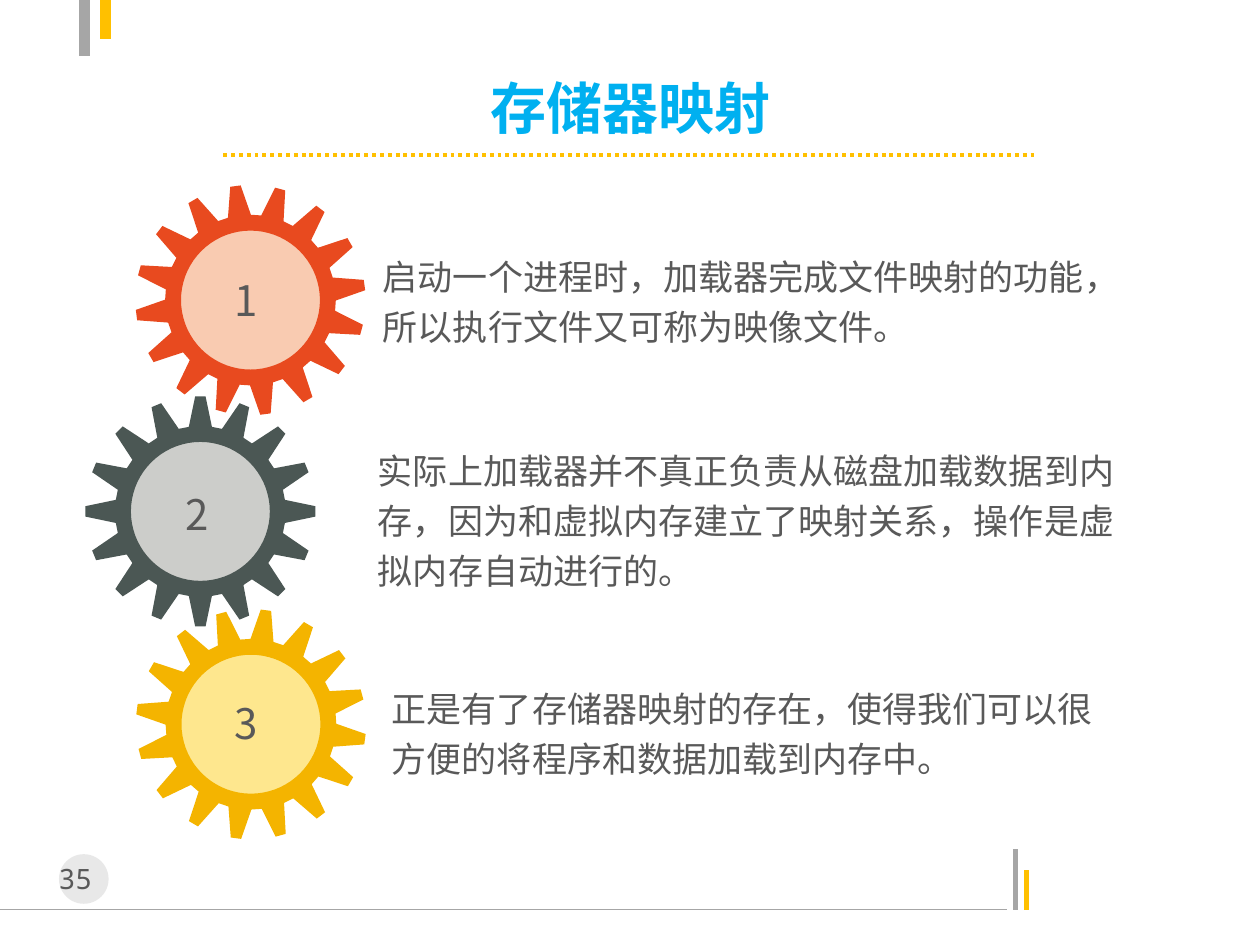
import math
from lxml import etree
from pptx import Presentation
from pptx import util as u
from pptx.dml.color import RGBColor
from pptx.enum import dml, shapes, text
from pptx.oxml.ns import qn

Cm = u.Cm
GRAY = RGBColor(0xA6, 0xA6, 0xA6)
YELLOW = RGBColor(0xFF, 0xC0, 0x00)
BLUE = RGBColor(0x00, 0xB0, 0xF0)
INK = RGBColor(0x59, 0x59, 0x59)
BADGE = RGBColor(0xBF, 0xBF, 0xBF)
RED = RGBColor(0xE8, 0x4A, 0x1F)
PEACH = RGBColor(0xF9, 0xCB, 0xB1)
SLATE = RGBColor(0x4B, 0x57, 0x54)
SILVER = RGBColor(0xCC, 0xCD, 0xCA)
GOLD = RGBColor(0xF4, 0xB4, 0x00)
CREAM = RGBColor(0xFE, 0xE7, 0x8E)
SANS = "Noto Sans CJK SC"

TEETH = 16
TIP_R, ROOT_R, HOLE_R, DISC_R = 2.32, 1.72, 1.4, 1.53
TIP_HALF, ROOT_HALF = 2.6, 7.8  # half angles of a tooth, degrees


def add_text(box, words, size, color=INK, font=SANS, wrap=True, grow=True):
    """Add a text box at box (left, top, width, height in cm); return its shape and paragraph."""
    sp = s.shapes.add_textbox(*map(Cm, box))
    tf = sp.text_frame
    tf.word_wrap = wrap
    if grow:
        tf.auto_size = text.MSO_AUTO_SIZE.SHAPE_TO_FIT_TEXT
    p = tf.paragraphs[0]
    p.text = words
    p.font.size = u.Pt(size)
    p.font.name = font
    p.font.color.rgb = color
    etree.SubElement(p.font._element, qn("a:ea"), typeface=font)
    return sp, p


def fill_shape(sp, color):
    sp.shadow.inherit = False
    sp.fill.solid()
    sp.fill.fore_color.rgb = color
    sp.line.fill.background()


prs = Presentation()
prs.slide_width, prs.slide_height = Cm(25.4), Cm(19.05)
s = prs.slides.add_slide(prs.slide_layouts[6])

# Rules and accent bars
for x1, y1, x2, y2, color, width in [
    (0, 18.34, 20.29, 18.34, GRAY, 0.75),
    (20.47, 18.34, 20.47, 17.12, GRAY, 3),
    (20.7, 18.34, 20.7, 17.53, YELLOW, 3),
    (1.7, 1.12, 1.7, -0.08, GRAY, 6),
    (2.13, 0, 2.13, 0.79, YELLOW, 6),
    (4.5, 3.12, 20.9, 3.12, YELLOW, 2.25),
]:
    line = s.shapes.add_connector(shapes.MSO_CONNECTOR.STRAIGHT, Cm(x1), Cm(y1), Cm(x2), Cm(y2))
    line.line.color.rgb = color
    line.line.width = u.Pt(width)
    etree.SubElement(line._element.spPr, qn("a:effectLst"))
line.line.dash_style = dml.MSO_LINE.ROUND_DOT  # the title rule comes last

# Page number
badge = s.shapes.add_shape(shapes.MSO_SHAPE.OVAL, Cm(1.19), Cm(17.22), Cm(1), Cm(1))
fill_shape(badge, BADGE)
badge_color = badge._element.spPr.find(".//" + qn("a:srgbClr"))
etree.SubElement(badge_color, qn("a:alpha"), val="35000")
sp, p = add_text((0.79, 17.25, 1.8, 0.94), "35 ", 16, font="Noto Sans Mono")
p.alignment = text.PP_ALIGN.CENTER

# Title
sp, p = add_text((3.5, 1.52, 18.42, 1.27), "存储器映射", 32, BLUE, wrap=False, grow=False)
sp.text_frame.vertical_anchor = text.MSO_ANCHOR.MIDDLE
p.alignment = text.PP_ALIGN.CENTER
p.font.bold = True

# Gears: a toothed ring with a round hole over a pale disc
for cx, cy, turn, gear_color, disc_color in [
    (5.05, 6.05, -7.5, RED, PEACH),
    (4.04, 10.31, 0, SLATE, SILVER),
    (5.06, 14.6, 7.5, GOLD, CREAM),
]:
    disc = s.shapes.add_shape(shapes.MSO_SHAPE.OVAL, Cm(cx - DISC_R), Cm(cy - DISC_R),
                              Cm(2 * DISC_R), Cm(2 * DISC_R))
    fill_shape(disc, disc_color)
    corners = [(ROOT_R, -ROOT_HALF), (TIP_R, -TIP_HALF), (TIP_R, TIP_HALF), (ROOT_R, ROOT_HALF)]
    rim = [(r, turn + 360 / TEETH * i + a) for i in range(TEETH) for r, a in corners]
    hole = [(HOLE_R, -a) for a in range(0, 360, 5)]
    rim, hole = ([(Cm(cx + r * math.sin(math.radians(a))), Cm(cy - r * math.cos(math.radians(a))))
                  for r, a in ring] for ring in (rim, hole))
    fb = s.shapes.build_freeform(*rim[0])
    fb.add_line_segments(rim[1:], close=True)
    fb.move_to(*hole[0])
    fb.add_line_segments(hole[1:], close=True)
    fill_shape(fb.convert_to_shape(), gear_color)

# Numbers and statements
for number, x, y, box, words in [
    ("1", 4.47, 5.41, (7.47, 4.85, 15.47, 2.31),
     "启动一个进程时，加载器完成文件映射的功能，所以执行文件又可称为映像文件。"),
    ("2", 3.5, 9.73, (7.37, 8.76, 15.54, 3.33),
     "实际上加载器并不真正负责从磁盘加载数据到内存，因为和虚拟内存建立了映射关系，操作是虚拟内存自动进行的。"),
    ("3", 4.47, 13.94, (7.65, 13.56, 15.29, 2.21),
     "正是有了存储器映射的存在，使得我们可以很方便的将程序和数据加载到内存中。"),
]:
    add_text((x, y, 1.02, 1.27), number, 24, wrap=False)
    sp, p = add_text(box, words, 20)
    p.line_spacing = 1.2

prs.save("out.pptx")
